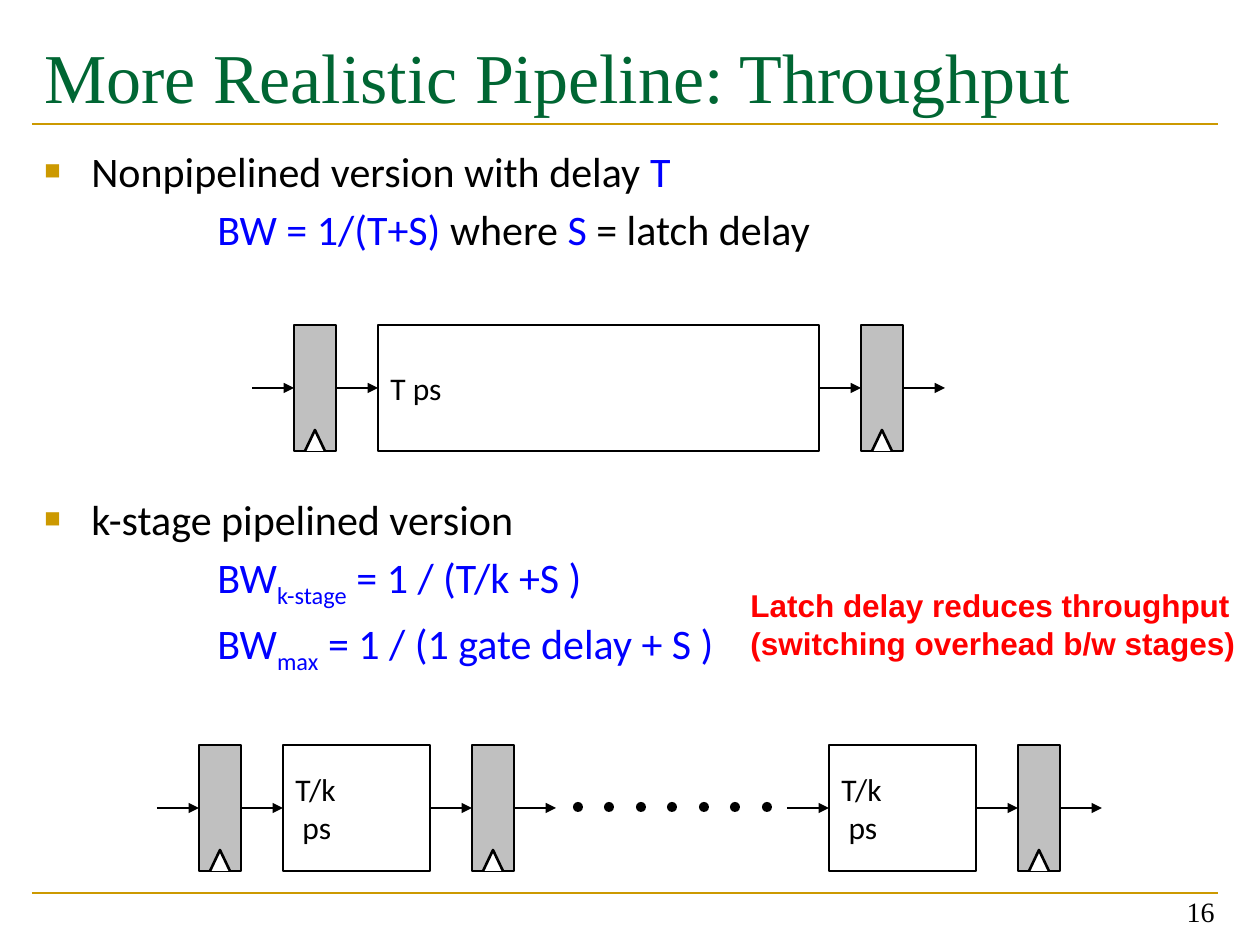
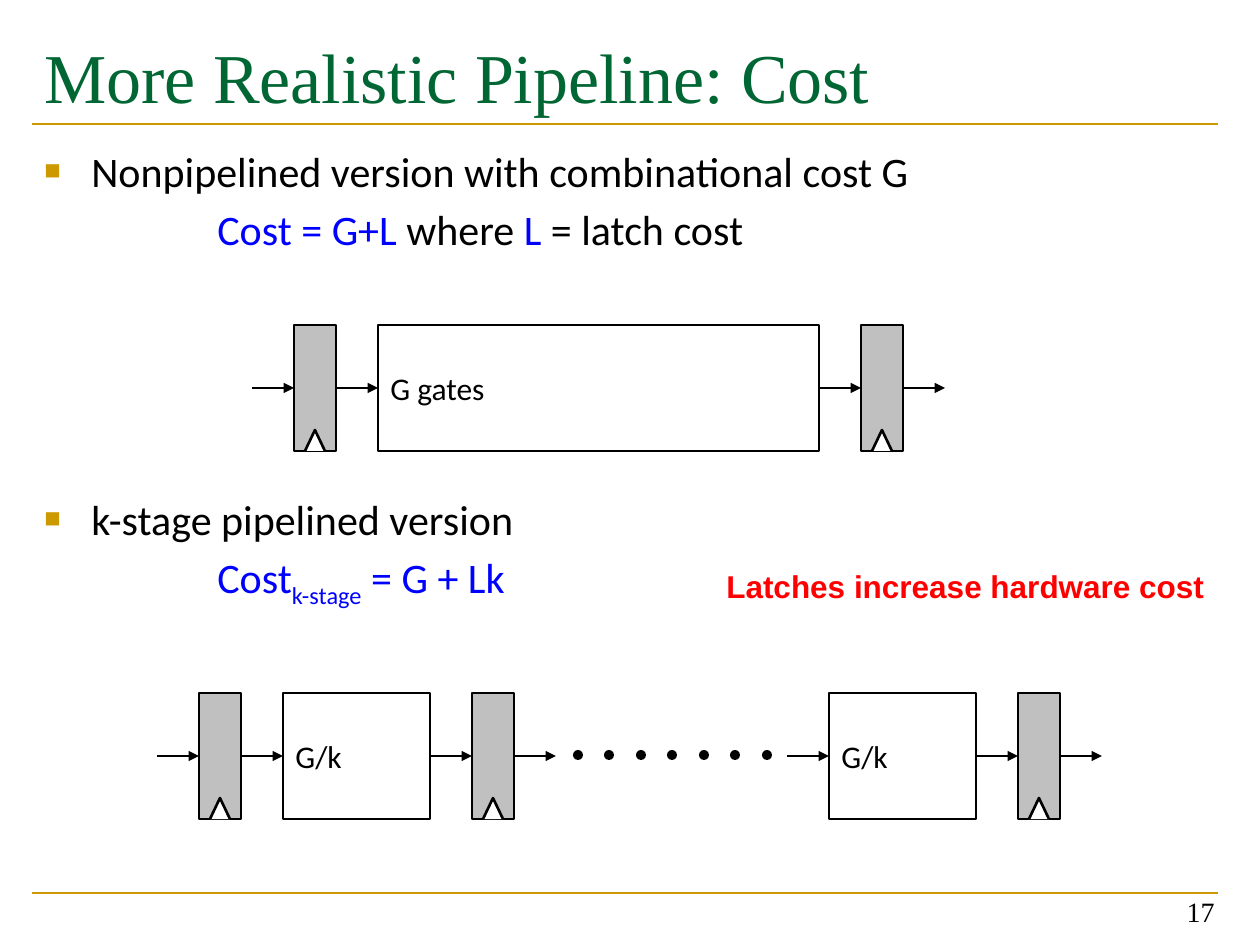
from lxml import etree
from pptx import Presentation
from pptx.dml.color import RGBColor
from pptx.enum.shapes import MSO_CONNECTOR, MSO_SHAPE
from pptx.enum.text import MSO_ANCHOR, PP_ALIGN
from pptx.oxml.ns import qn
from pptx.util import Emu, Pt

STRAIGHT = MSO_CONNECTOR.STRAIGHT
RECTANGLE, OVAL = MSO_SHAPE.RECTANGLE, MSO_SHAPE.OVAL
TOP, MIDDLE, BOTTOM = MSO_ANCHOR.TOP, MSO_ANCHOR.MIDDLE, MSO_ANCHOR.BOTTOM
LEFT, RIGHT = PP_ALIGN.LEFT, PP_ALIGN.RIGHT

COLORS = {
    "title": "006633",
    "gold": "CC9900",
    "ink": "000000",
    "formula": "0000FF",
    "warning": "FF0000",
    "latch": "C0C0C0",
    "paper": "FFFFFF",
}
SERIF, BODY, SANS = "Times New Roman", "Calibri", "Arial"

EMU_PER_PX = 914400 / 126
SLIDE_W, SLIDE_H = 1260, 945
MARGIN, CONTENT_W = 32, 1187
GAP, LATCH_W, STAGE_H = 42, 42, 126
WIDE_STAGE, NARROW_STAGE = 441, 147


def px(length):
    return Emu(round(length * EMU_PER_PX))


def rgb(color):
    return RGBColor.from_string(COLORS[color])


def set_font(font, name, size, color=None, bold=False):
    font.name, font.size, font.bold = name, Pt(size), bold
    if color:
        font.color.rgb = rgb(color)


def write_lines(shape, lines, name, size, color="ink", bold=False,
                align=LEFT, anchor=TOP, inset_top=6):
    frame = shape.text_frame
    frame.word_wrap = True
    frame.vertical_anchor = anchor
    frame.margin_top = px(inset_top)
    for number, line in enumerate(lines):
        paragraph = frame.add_paragraph() if number else frame.paragraphs[0]
        paragraph.text = line
        paragraph.alignment = align
        set_font(paragraph.font, name, size, color, bold)


def add_label(slide, left, top, width, height, lines, *style, **layout):
    box = slide.shapes.add_textbox(px(left), px(top), px(width), px(height))
    write_lines(box, lines, *style, **layout)


def set_indent(paragraph, margin, first_line=0):
    properties = paragraph._p.get_or_add_pPr()
    properties.set("marL", str(px(margin)))
    properties.set("indent", str(px(first_line)))
    return properties


def add_bullet(paragraph):
    properties = set_indent(paragraph, 47, -47)
    color = etree.SubElement(properties, qn("a:buClr"))
    etree.SubElement(color, qn("a:srgbClr"), val=COLORS["gold"])
    etree.SubElement(properties, qn("a:buSzPct"), val="65000")
    etree.SubElement(properties, qn("a:buFont"), typeface=SANS)
    etree.SubElement(properties, qn("a:buChar"), char="■")


def add_statement(slide, top, height, heading, formulas):
    box = slide.shapes.add_textbox(px(MARGIN), px(top), px(CONTENT_W), px(height))
    frame = box.text_frame
    frame.word_wrap = True
    frame.margin_top = px(8)
    for number, pieces in enumerate([heading, *formulas]):
        if number:
            paragraph = frame.add_paragraph()
            paragraph.space_before = Pt(4.8)
            set_indent(paragraph, 173)
        else:
            paragraph = frame.paragraphs[0]
            add_bullet(paragraph)
        set_font(paragraph.font, BODY, 24)
        for text, color, *subscript in pieces:
            run = paragraph.add_run()
            run.text = text
            run.font.color.rgb = rgb(color)
            if subscript:
                run._r.get_or_add_rPr().set("baseline", "-25000")


def paint(shape, fill, outlined=True):
    shape.shadow.inherit = False
    shape.fill.solid()
    shape.fill.fore_color.rgb = rgb(fill)
    if outlined:
        shape.line.color.rgb = rgb("ink")
        shape.line.width = Pt(1.5)
    else:
        shape.line.fill.background()


def add_line(slide, x1, y1, x2, y2, color):
    line = slide.shapes.add_connector(STRAIGHT, px(x1), px(y1), px(x2), px(y2))
    line.line.color.rgb = rgb(color)
    line.line.width = Pt(1.5)
    etree.SubElement(line._element.spPr, qn("a:effectLst"))
    return line


def add_arrow(slide, x, y, source=None, target=None):
    arrow = add_line(slide, x, y, x + GAP, y, "ink")
    etree.SubElement(arrow.line._get_or_add_ln(), qn("a:tailEnd"), type="triangle")
    if source:
        arrow.begin_connect(source, 3)
    if target:
        arrow.end_connect(target, 1)


def add_latch(slide, x, y):
    latch = slide.shapes.add_shape(RECTANGLE, px(x), px(y), px(LATCH_W), px(STAGE_H))
    paint(latch, "latch")
    center, bottom = x + LATCH_W // 2, y + STAGE_H
    outline = slide.shapes.build_freeform(center - 10, bottom, scale=EMU_PER_PX)
    outline.add_line_segments([(center, bottom - 21), (center + 10, bottom)], close=False)
    paint(outline.convert_to_shape(), "paper")
    return latch


def add_stage(slide, x, y, width, lines):
    stage = slide.shapes.add_shape(RECTANGLE, px(x), px(y), px(width), px(STAGE_H))
    paint(stage, "paper")
    write_lines(stage, lines, BODY, 18, anchor=MIDDLE)
    return stage


def add_chain(slide, x, y, parts, stage_width, stage_lines):
    middle = y + STAGE_H // 2
    previous = None
    for part in parts:
        if part == "latch":
            width, current = LATCH_W, add_latch(slide, x + GAP, y)
        else:
            width = stage_width
            current = add_stage(slide, x + GAP, y, width, stage_lines)
        add_arrow(slide, x, middle, previous, current)
        x += GAP + width
        previous = current
    add_arrow(slide, x, middle, source=previous)


def add_ellipsis(slide, x, y):
    for index in range(7):
        dot = slide.shapes.add_shape(OVAL, px(x + index * 63 // 2), px(y), px(10), px(10))
        paint(dot, "ink", outlined=False)


def add_pipelined(slide, y, stage_lines):
    add_chain(slide, 157, y, ["latch", "stage", "latch"], NARROW_STAGE, stage_lines)
    add_ellipsis(slide, 573, y + 57)
    add_chain(slide, 787, y, ["stage", "latch"], NARROW_STAGE, stage_lines)


def add_pipeline_slide(deck, number, title, single, single_stage,
                       pipelined, pipelined_top, pipelined_stage, warning):
    slide = deck.slides.add_slide(deck.slide_layouts[6])
    for y in (893, 124):
        add_line(slide, MARGIN, y, 1218, y, "gold")
    add_label(slide, MARGIN, 21, CONTENT_W, 100, [title], SERIF, 40, "title", inset_top=13)
    add_label(slide, 934, 871, 293, 63, [str(number)], SERIF, 16, align=RIGHT, anchor=BOTTOM)
    add_statement(slide, 137, 130, *single)
    add_chain(slide, 252, 325, ["latch", "stage", "latch"], WIDE_STAGE, [single_stage])
    add_statement(slide, 485, 210, *pipelined)
    add_pipelined(slide, pipelined_top, pipelined_stage)
    left, top, width, height, lines = warning
    add_label(slide, left, top, width, height, lines, SANS, 18, "warning", True, inset_top=9)


def main():
    deck = Presentation()
    deck.slide_width, deck.slide_height = px(SLIDE_W), px(SLIDE_H)
    pipelined_heading = [("k-stage pipelined version", "ink")]

    add_pipeline_slide(
        deck, 16, "More Realistic Pipeline: Throughput",
        single=(
            [("Nonpipelined version with delay ", "ink"), ("T", "formula")],
            [[("BW = 1/(T+S) ", "formula"), ("where ", "ink"),
              ("S ", "formula"), ("= latch delay", "ink")]],
        ),
        single_stage="T ps",
        pipelined=(
            pipelined_heading,
            [[("BW", "formula"), ("k-stage", "formula", True),
              (" = 1 / (T/k +S )", "formula")],
             [("BW", "formula"), ("max", "formula", True),
              (" = 1 / (1 gate delay + S )", "formula")]],
        ),
        pipelined_top=745,
        pipelined_stage=["T/k", " ps"],
        warning=(738, 577, 520, 89, ["Latch delay reduces throughput",
                                     "(switching overhead b/w stages)"]),
    )
    add_pipeline_slide(
        deck, 17, "More Realistic Pipeline: Cost",
        single=(
            [("Nonpipelined version with combinational cost G", "ink")],
            [[("Cost = G+L ", "formula"), ("where ", "ink"),
              ("L ", "formula"), ("= latch cost", "ink")]],
        ),
        single_stage="G gates",
        pipelined=(
            pipelined_heading,
            [[("Cost", "formula"), ("k-stage", "formula", True),
              (" = G + Lk", "formula")]],
        ),
        pipelined_top=693,
        pipelined_stage=["G/k"],
        warning=(714, 558, 515, 50, ["Latches increase hardware cost"]),
    )
    deck.save("out.pptx")


if __name__ == "__main__":
    main()
